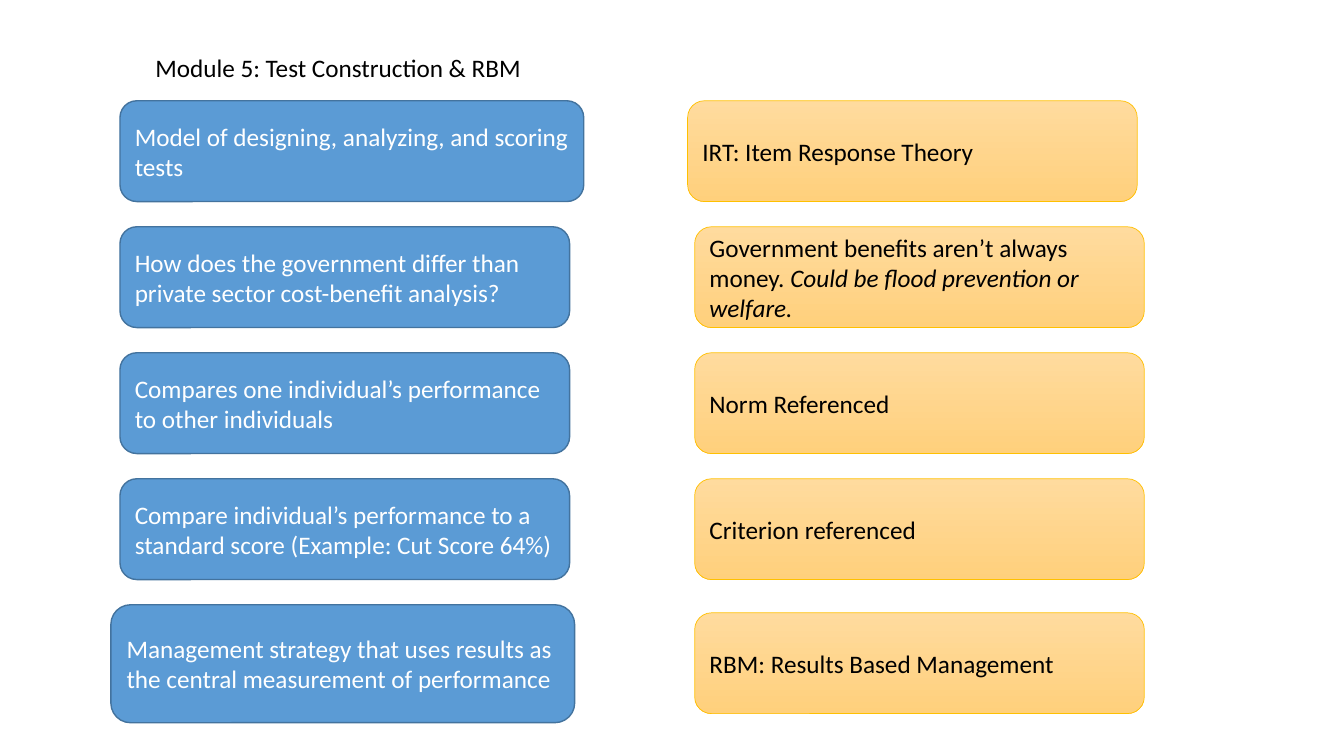
from pptx import Presentation
from pptx.dml.color import RGBColor
from pptx.enum.shapes import MSO_SHAPE
from pptx.enum.text import MSO_ANCHOR, MSO_AUTO_SIZE, PP_ALIGN
from pptx.util import Inches, Pt

BLUE = RGBColor(0x5B, 0x9B, 0xD5)
BLUE_LINE = RGBColor(0x43, 0x73, 0x9E)
GOLD_LIGHT = RGBColor(0xFF, 0xDB, 0x9E)
GOLD_DEEP = RGBColor(0xFF, 0xD0, 0x7C)
GOLD_LINE = RGBColor(0xFF, 0xC0, 0x00)
WHITE = RGBColor(0xFF, 0xFF, 0xFF)
BLACK = RGBColor(0x00, 0x00, 0x00)

TOP, PITCH = 1.0, 1.25
CARD_W, CARD_H = 4.46, 1.0
QUESTION_X, ANSWER_X = 1.19, 6.89

QUESTIONS = [
    ("Model of designing, analyzing, and scoring tests", dict(dw=0.14)),
    ("How does the government differ than private sector cost-benefit analysis?", {}),
    ("Compares one individual’s performance to other individuals", {}),
    ("Compare individual’s performance to a standard score (Example: Cut Score 64%)", {}),
    ("Management strategy that uses results as the central measurement of performance",
     dict(dx=-0.09, dw=0.14, dh=0.17)),
]
ANSWERS = [
    ("IRT: Item Response Theory", dict(dx=-0.07)),
    ("Government benefits aren’t always money. |Could be flood prevention or welfare.", {}),
    ("Norm Referenced", {}),
    ("Criterion referenced", {}),
    ("RBM: Results Based Management", dict(dy=0.08)),
]


def add_text(sp, text, color=BLACK, size=18, font="Calibri",
             anchor=MSO_ANCHOR.MIDDLE, wrap=True):
    tf = sp.text_frame
    tf.word_wrap = wrap
    tf.auto_size = MSO_AUTO_SIZE.NONE
    tf.vertical_anchor = anchor
    p = tf.paragraphs[0]
    p.alignment = PP_ALIGN.LEFT
    for i, part in enumerate(text.split("|")):
        r = p.add_run()
        r.text = part
        r.font.name = font
        r.font.size = Pt(size)
        r.font.color.rgb = color
        if i:
            r.font.italic = True


def fill_blue(sp):
    sp.fill.solid()
    sp.fill.fore_color.rgb = BLUE
    sp.line.color.rgb = BLUE_LINE
    sp.line.width = Pt(1)


def fill_gold(sp):
    sp.fill.gradient()
    sp.fill.gradient_angle = 270
    for stop, color in zip(sp.fill.gradient_stops, (GOLD_LIGHT, GOLD_DEEP)):
        stop.color.rgb = color
    sp.line.color.rgb = GOLD_LINE
    sp.line.width = Pt(0.5)


def add_card(s, x, y, w, h, text, paint, color):
    sp = s.shapes.add_shape(MSO_SHAPE.ROUNDED_RECTANGLE,
                            Inches(x), Inches(y), Inches(w), Inches(h))
    sp.shadow.inherit = False
    paint(sp)
    add_text(sp, text, color=color)


def add_column(s, x, y, w, h, cards, paint, color):
    for row, (text, shift) in enumerate(cards):
        add_card(s, x + shift.get("dx", 0), y + row * PITCH + shift.get("dy", 0),
                 w + shift.get("dw", 0), h + shift.get("dh", 0), text, paint, color)


def add_title(s, x, y, w, h, text):
    sp = s.shapes.title
    sp.left, sp.top, sp.width, sp.height = (Inches(v) for v in (x, y, w, h))
    add_text(sp, text, anchor=MSO_ANCHOR.TOP, wrap=False)


def main():
    prs = Presentation()
    prs.slide_width, prs.slide_height = Inches(13.33), Inches(7.5)
    s = prs.slides.add_slide(prs.slide_layouts[5])
    add_title(s, 1.44, 0.47, 3.87, 0.4, "Module 5: Test Construction & RBM")
    add_column(s, QUESTION_X, TOP, CARD_W, CARD_H, QUESTIONS, fill_blue, WHITE)
    add_column(s, ANSWER_X, TOP, CARD_W, CARD_H, ANSWERS, fill_gold, BLACK)
    prs.save("out.pptx")


if __name__ == "__main__":
    main()
